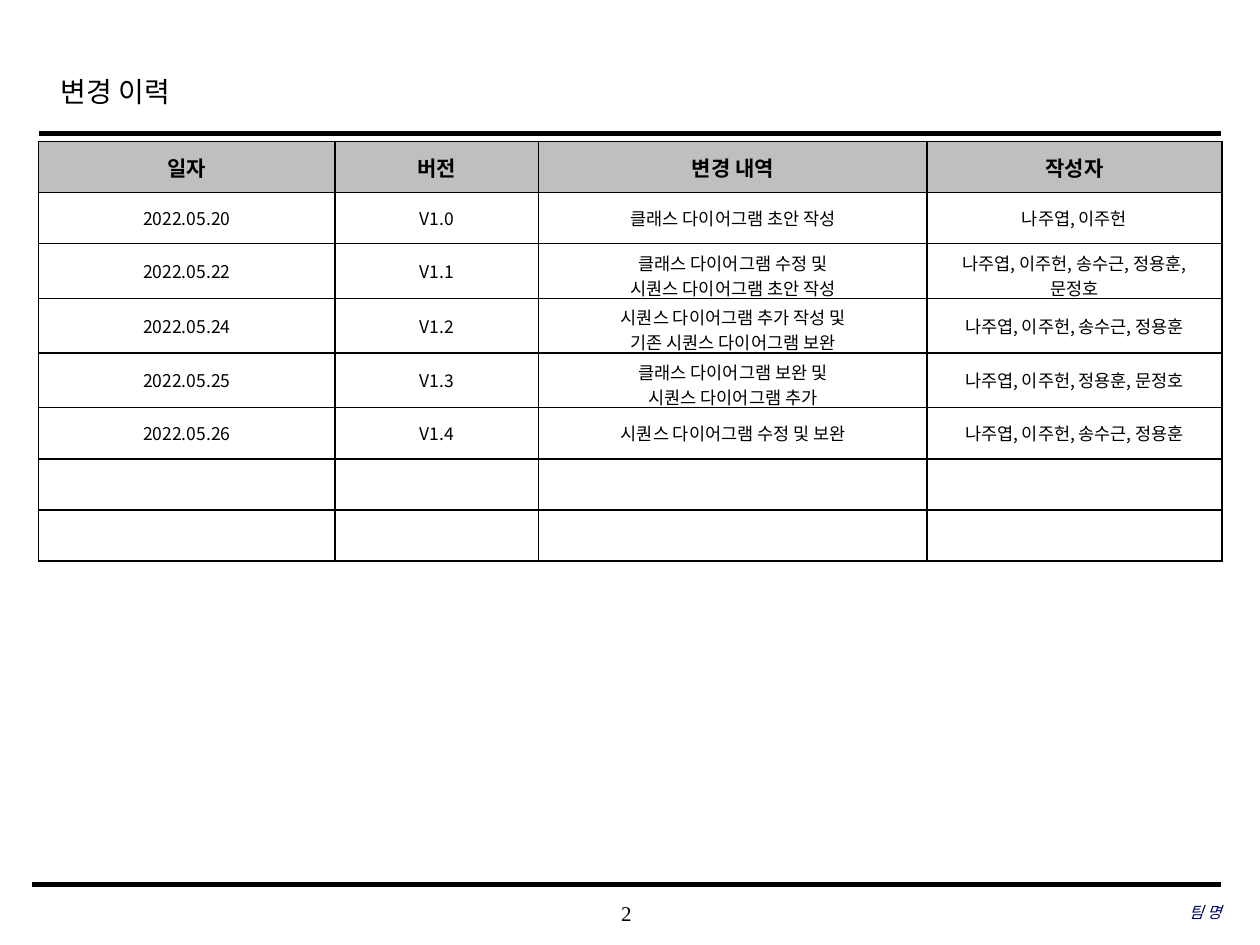
import pptx
import pptx.util
import pptx.dml.color
import pptx.enum.shapes
import pptx.enum.text
import pptx.oxml.ns
import lxml.etree

Cm = pptx.util.Cm
Pt = pptx.util.Pt
RGBColor = pptx.dml.color.RGBColor
Align = pptx.enum.text.PP_ALIGN
Anchor = pptx.enum.text.MSO_ANCHOR
qn = pptx.oxml.ns.qn

BLACK = RGBColor(0x00, 0x00, 0x00)
WHITE = RGBColor(0xFF, 0xFF, 0xFF)
GRAY = RGBColor(0xBF, 0xBF, 0xBF)
NAVY = RGBColor(0x00, 0x00, 0x66)
SERIF = "Times New Roman"
SANS = "Noto Sans CJK KR"

HEAD = ["일자", "버전", "변경 내역", "작성자"]
LOG = [
    ["2022.05.20", "V1.0", "클래스 다이어그램 초안 작성", "나주엽, 이주헌"],
    ["2022.05.22", "V1.1", "클래스 다이어그램 수정 및\n시퀀스 다이어그램 초안 작성",
     "나주엽, 이주헌, 송수근, 정용훈, 문정호"],
    ["2022.05.24", "V1.2", "시퀀스 다이어그램 추가 작성 및\n기존 시퀀스 다이어그램 보완",
     "나주엽, 이주헌, 송수근, 정용훈"],
    ["2022.05.25", "V1.3", "클래스 다이어그램 보완 및\n시퀀스 다이어그램 추가",
     "나주엽, 이주헌, 정용훈, 문정호"],
    ["2022.05.26", "V1.4", "시퀀스 다이어그램 수정 및 보완", "나주엽, 이주헌, 송수근, 정용훈"],
]
SPARE = 2
COLS = [5.97, 4.11, 7.83, 5.94]
ROW = 1.03


def add_run(para, text, size, font, color=BLACK, bold=False, italic=False):
    run = para.add_run()
    run.text = text
    face = run.font
    face.size, face.name = Pt(size), font
    face.bold, face.italic = bold, italic
    face.color.rgb = color
    # Korean glyphs take the East Asian font
    east = lxml.etree.Element(qn("a:ea"), typeface=SANS)
    face._element.find(qn("a:latin")).addnext(east)


def add_label(slide, box, align, text, size, color=BLACK, italic=False):
    frame = slide.shapes.add_textbox(*map(Cm, box)).text_frame
    frame.word_wrap = True
    frame.vertical_anchor = Anchor.MIDDLE
    frame.margin_left = frame.margin_right = 0
    frame.margin_top = frame.margin_bottom = 0
    para = frame.paragraphs[0]
    para.alignment = align
    add_run(para, text, size, SERIF, color, italic=italic)


def add_rule(slide, left, right, top, width):
    line = slide.shapes.add_connector(
        pptx.enum.shapes.MSO_CONNECTOR.STRAIGHT,
        Cm(left), Cm(top), Cm(right), Cm(top))
    line.line.color.rgb = BLACK
    line.line.width = Pt(width)
    lxml.etree.SubElement(line._element.spPr, qn("a:effectLst"))


def add_title(slide, left, top, width, height):
    # Heading, with a rule below it
    frame = slide.shapes.add_textbox(
        Cm(left + 0.2), Cm(top), Cm(19.18), Cm(height - 0.18)).text_frame
    frame.word_wrap = True
    para = frame.paragraphs[0]
    para.line_spacing = 1.2
    add_run(para, "변경 이력", 16, SERIF)
    add_rule(slide, left, left + width, top + height, 2.5)


def set_edges(cell):
    props = cell._tc.get_or_add_tcPr()
    for spot, side in enumerate(("lnL", "lnR", "lnT", "lnB")):
        edge = lxml.etree.Element(qn("a:" + side), w=str(Pt(1)))
        fill = lxml.etree.SubElement(edge, qn("a:solidFill"))
        lxml.etree.SubElement(fill, qn("a:srgbClr"), val=str(BLACK))
        props.insert(spot, edge)


def add_log(slide, left, top, width):
    # Change log: heading row, entries and spare rows
    rows = [HEAD] + LOG + [[""] * len(HEAD)] * SPARE
    grid = slide.shapes.add_table(
        len(rows), len(HEAD), Cm(left), Cm(top),
        Cm(width), Cm(ROW * len(rows))).table
    for col, size in zip(grid.columns, COLS):
        col.width = Cm(size)
    for r, row in enumerate(rows):
        grid.rows[r].height = Cm(ROW)
        for c, text in enumerate(row):
            cell = grid.cell(r, c)
            cell.fill.solid()
            cell.fill.fore_color.rgb = WHITE if r else GRAY
            cell.vertical_anchor = Anchor.MIDDLE
            set_edges(cell)
            frame = cell.text_frame
            for i, line in enumerate(text.split("\n") if text else []):
                para = frame.add_paragraph() if i else frame.paragraphs[0]
                para.alignment = Align.CENTER
                add_run(para, line, 10 if r else 12, SANS, bold=not r)


def add_foot(slide, left, top, width):
    # Rule, page number and team name
    add_rule(slide, left, left + width, top, 3)
    add_label(slide, (left + 9.35, top + 0.15, 5.28, 0.84),
              Align.CENTER, "2", 12)
    add_label(slide, (left + width - 7.77, top + 0.13, 7.77, 0.84),
              Align.RIGHT, "팀 명", 9, NAVY, True)


def main():
    deck = pptx.Presentation()
    deck.slide_width, deck.slide_height = Cm(25.4), Cm(19.05)
    slide = deck.slides.add_slide(deck.slide_layouts[6])
    add_title(slide, 0.78, 1.24, 23.84, 1.45)
    add_log(slide, 0.78, 2.85, sum(COLS))
    add_foot(slide, 0.64, 17.83, 23.98)
    deck.save("out.pptx")


if __name__ == "__main__":
    main()
